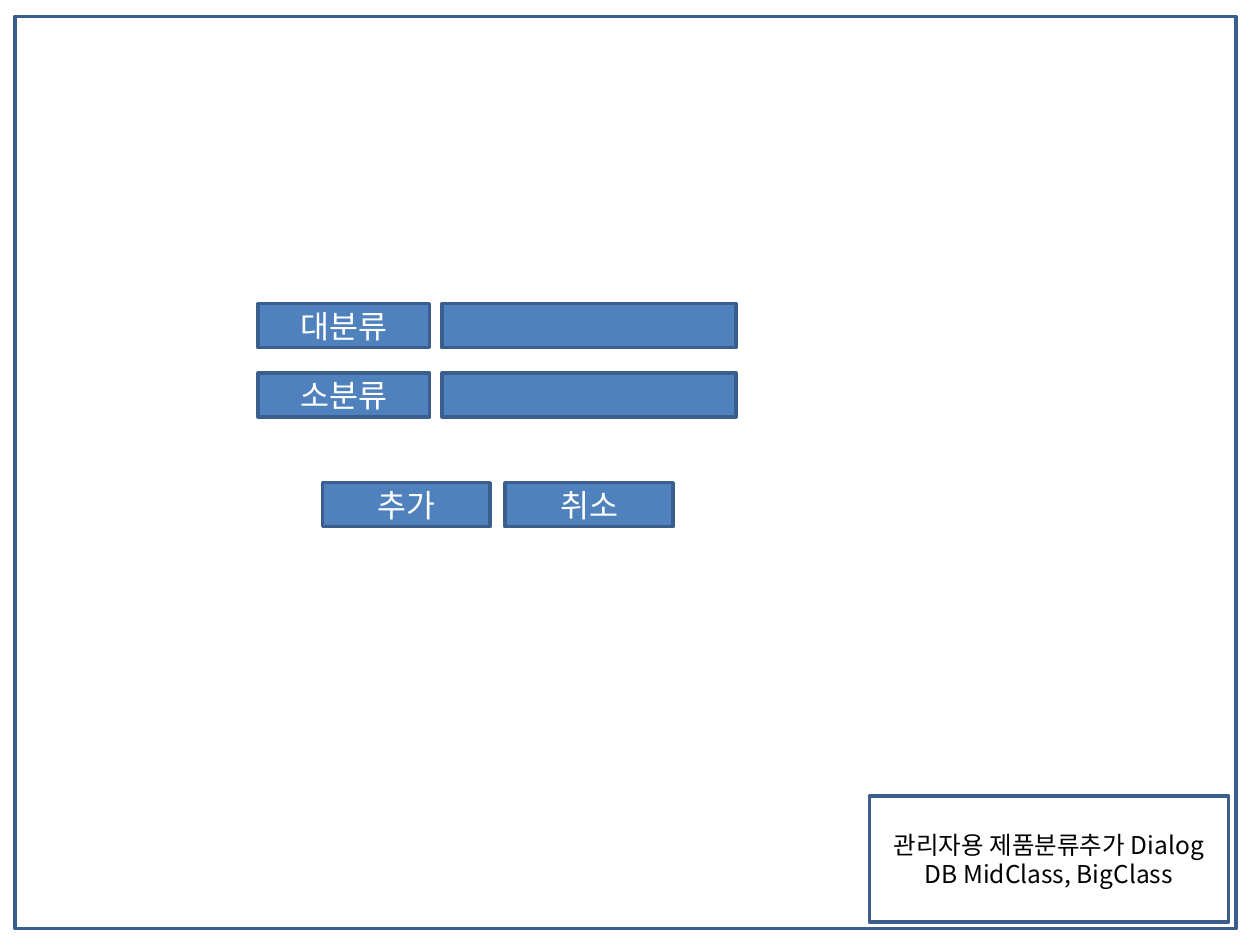
from lxml.etree import SubElement
from pptx import Presentation
from pptx.dml.color import RGBColor
from pptx.enum.shapes import MSO_SHAPE as Form
from pptx.enum.text import MSO_ANCHOR as Anchor, PP_ALIGN as Align
from pptx.oxml.ns import qn
from pptx.util import Pt

FACE = "Noto Sans CJK KR"
BLUE, EDGE, WHITE, BLACK = "4F81BD", "3A5F8C", "FFFFFF", "000000"
HIGH = 25.2


def tint(color, code):
    color.rgb = RGBColor.from_string(code)


def style(para, size, code):
    para.alignment = Align.CENTER
    font = para.font
    font.size = Pt(size)
    tint(font.fill.solid() or font.color, code)
    font.name = FACE
    base = para._p.pPr.find(qn("a:defRPr"))
    SubElement(base, qn("a:ea")).set("typeface", FACE)


def panel(slide, box, text="", fill=None, size=18, code=WHITE):
    shape = slide.shapes.add_shape(Form.RECTANGLE, *map(Pt, box))
    shape.shadow.inherit = False
    if fill:
        shape.fill.solid()
        tint(shape.fill.fore_color, fill)
    else:
        shape.fill.background()
    tint(shape.line.color, EDGE)
    shape.line.width = Pt(2)
    if text:
        frame = shape.text_frame
        frame.word_wrap = True
        frame.vertical_anchor = Anchor.MIDDLE
        frame.text = text
        for para in frame.paragraphs:
            style(para, size, code)


def fields(slide, left, top, names):
    for row, name in enumerate(names):
        y = top + row * 39.6
        panel(slide, (left, y, 97.9, HIGH), name, BLUE)
        panel(slide, (left + 105.1, y, 167.8, HIGH), fill=BLUE)


def buttons(slide, left, top, names):
    for col, name in enumerate(names):
        panel(slide, (left + col * 104.4, top, 95.8, HIGH), name, BLUE)


def main():
    deck = Presentation()
    deck.slide_width, deck.slide_height = Pt(720), Pt(540)
    slide = deck.slides.add_slide(deck.slide_layouts[6])
    panel(slide, (8.64, 9.36, 697.7, 521.3))
    fields(slide, 147.6, 173.5, ("대분류", "소분류"))
    buttons(slide, 184.3, 275.8, ("추가", "취소"))
    panel(slide, (496.8, 455, 205.2, 72),
          "관리자용 제품분류추가 Dialog\nDB MidClass, BigClass",
          size=14, code=BLACK)
    deck.save("out.pptx")


if __name__ == "__main__":
    main()
